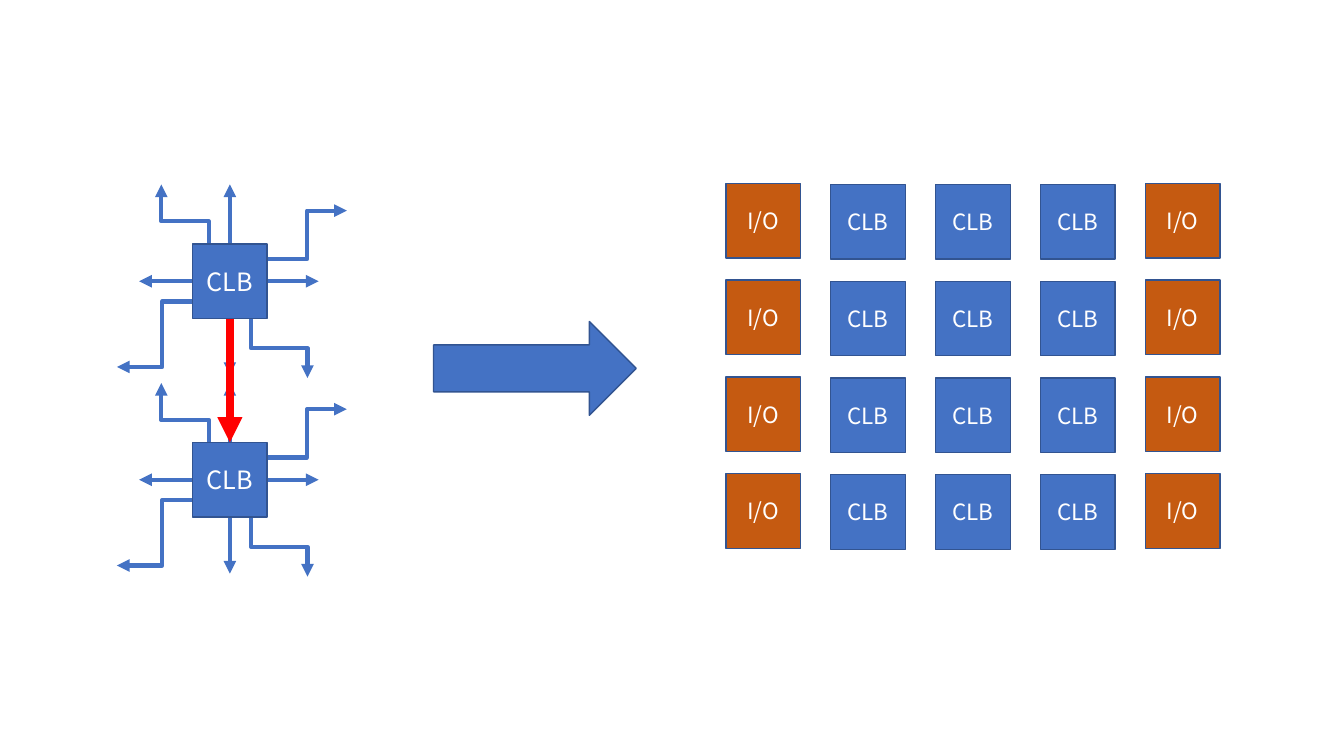
from dataclasses import dataclass

from lxml import etree
from pptx import Presentation
from pptx.dml.color import RGBColor
from pptx.enum.shapes import MSO_CONNECTOR, MSO_SHAPE
from pptx.enum.text import MSO_ANCHOR, PP_ALIGN
from pptx.oxml.ns import qn
from pptx.shapes.autoshape import Shape
from pptx.slide import Slide
from pptx.util import Inches, Pt

RECTANGLE = MSO_SHAPE.RECTANGLE
RIGHT_ARROW = MSO_SHAPE.RIGHT_ARROW
STRAIGHT = MSO_CONNECTOR.STRAIGHT
ELBOW = MSO_CONNECTOR.ELBOW
MIDDLE = MSO_ANCHOR.MIDDLE
CENTER = PP_ALIGN.CENTER

BLUE, DARK_BLUE, ORANGE = "4472C4", "325491", "C55A11"
RED, WHITE = "FF0000", "FFFFFF"
FONT = "Noto Sans CJK SC"
BLOCK_SIZE = 0.74
CELL_LEFT, CELL_TOPS = 1.91, (2.42, 4.39)
GRID_LEFT, GRID_TOP = 7.2, 1.83
COLUMN_STEP, ROW_STEP = 1.04, 0.96
ROWS = 4


@dataclass(frozen=True)
class Wire:
    start: tuple[float, float]
    end: tuple[float, float]
    bent: bool = False
    vertical_first: bool = False
    bend: float = 0.5
    color: str = BLUE
    width: float = 3


@dataclass(frozen=True)
class Block:
    label: str
    fill: str
    size: float
    rise: float = 0


CELL_BLOCK = Block("CLB", BLUE, 18)
LOGIC = Block("CLB", BLUE, 16)
PORT = Block("I/O", ORANGE, 16, 0.01)
GRID_COLUMNS = (PORT, LOGIC, LOGIC, LOGIC, PORT)

CELL_WIRES = (
    Wire((0.37, 0), (0.37, -0.59)),
    Wire((0.74, 0.37), (1.25, 0.37)),
    Wire((0.37, 0.74), (0.37, 1.3)),
    Wire((0, 0.37), (-0.53, 0.37)),
    Wire((0.74, 0.15), (1.53, -0.33), bent=True),
    Wire((0.58, 0.74), (1.14, 1.33), bent=True, vertical_first=True),
    Wire((0, 0.57), (-0.75, 1.22), bent=True, bend=0.4),
    Wire((0.16, 0), (-0.31, -0.59), bent=True, vertical_first=True, bend=0.38),
)
SIGNAL = Wire((0.37, 0.74), (0.37, CELL_TOPS[1] - CELL_TOPS[0]), color=RED, width=6)


def rgb(color: str) -> RGBColor:
    return RGBColor.from_string(color)


def add_filled(page: Slide, kind: MSO_SHAPE, left: float, top: float,
               width: float, height: float, fill: str) -> Shape:
    shape = page.shapes.add_shape(
        kind, Inches(left), Inches(top), Inches(width), Inches(height))
    shape.shadow.inherit = False
    shape.fill.solid()
    shape.fill.fore_color.rgb = rgb(fill)
    shape.line.color.rgb = rgb(DARK_BLUE)
    shape.line.width = Pt(1)
    return shape


def add_block(page: Slide, block: Block, left: float, top: float) -> None:
    box = add_filled(page, RECTANGLE, left, top - block.rise,
                     BLOCK_SIZE, BLOCK_SIZE, block.fill)
    box.text_frame.vertical_anchor = MIDDLE
    para = box.text_frame.paragraphs[0]
    para.alignment = CENTER
    span = para.add_run()
    span.text = block.label
    for name, value in {"name": FONT, "size": Pt(block.size)}.items():
        setattr(span.font, name, value)
    span.font.color.rgb = rgb(WHITE)


def add_wire(page: Slide, wire: Wire, left: float, top: float) -> None:
    start_x, start_y = left + wire.start[0], top + wire.start[1]
    end_x, end_y = left + wire.end[0], top + wire.end[1]
    if wire.vertical_first:
        middle_x, middle_y = (start_x + end_x) / 2, (start_y + end_y) / 2
        half_x, half_y = (start_y - end_y) / 2, (end_x - start_x) / 2
        start_x, start_y = middle_x - half_x, middle_y - half_y
        end_x, end_y = middle_x + half_x, middle_y + half_y
    connector = page.shapes.add_connector(
        ELBOW if wire.bent else STRAIGHT,
        Inches(start_x), Inches(start_y), Inches(end_x), Inches(end_y))
    connector.line.color.rgb = rgb(wire.color)
    connector.line.width = Pt(wire.width)
    properties = connector.element.spPr
    etree.SubElement(properties.find(qn("a:ln")), qn("a:tailEnd"), type="triangle")
    etree.SubElement(properties, qn("a:effectLst"))
    if wire.vertical_first:
        properties.find(qn("a:xfrm")).set("rot", str(270 * 60000))
    if wire.bend != 0.5:
        guides = properties.find(qn("a:prstGeom")).find(qn("a:avLst"))
        etree.SubElement(guides, qn("a:gd"), name="adj1",
                         fmla=f"val {round(wire.bend * 100000)}")


def add_cell(page: Slide, top: float) -> None:
    for wire in CELL_WIRES:
        add_wire(page, wire, CELL_LEFT, top)
    add_block(page, CELL_BLOCK, CELL_LEFT, top)


def add_grid(page: Slide) -> None:
    for row in range(ROWS):
        for column, block in enumerate(GRID_COLUMNS):
            add_block(page, block, GRID_LEFT + column * COLUMN_STEP,
                      GRID_TOP + row * ROW_STEP)


deck = Presentation()
deck.slide_width, deck.slide_height = Inches(13.33), Inches(7.5)
page = deck.slides.add_slide(deck.slide_layouts[6])
for cell_top in CELL_TOPS:
    add_cell(page, cell_top)
add_wire(page, SIGNAL, CELL_LEFT, CELL_TOPS[0])
add_filled(page, RIGHT_ARROW, 4.3, 3.19, 2.01, 0.93, BLUE)
add_grid(page)
deck.save("out.pptx")
